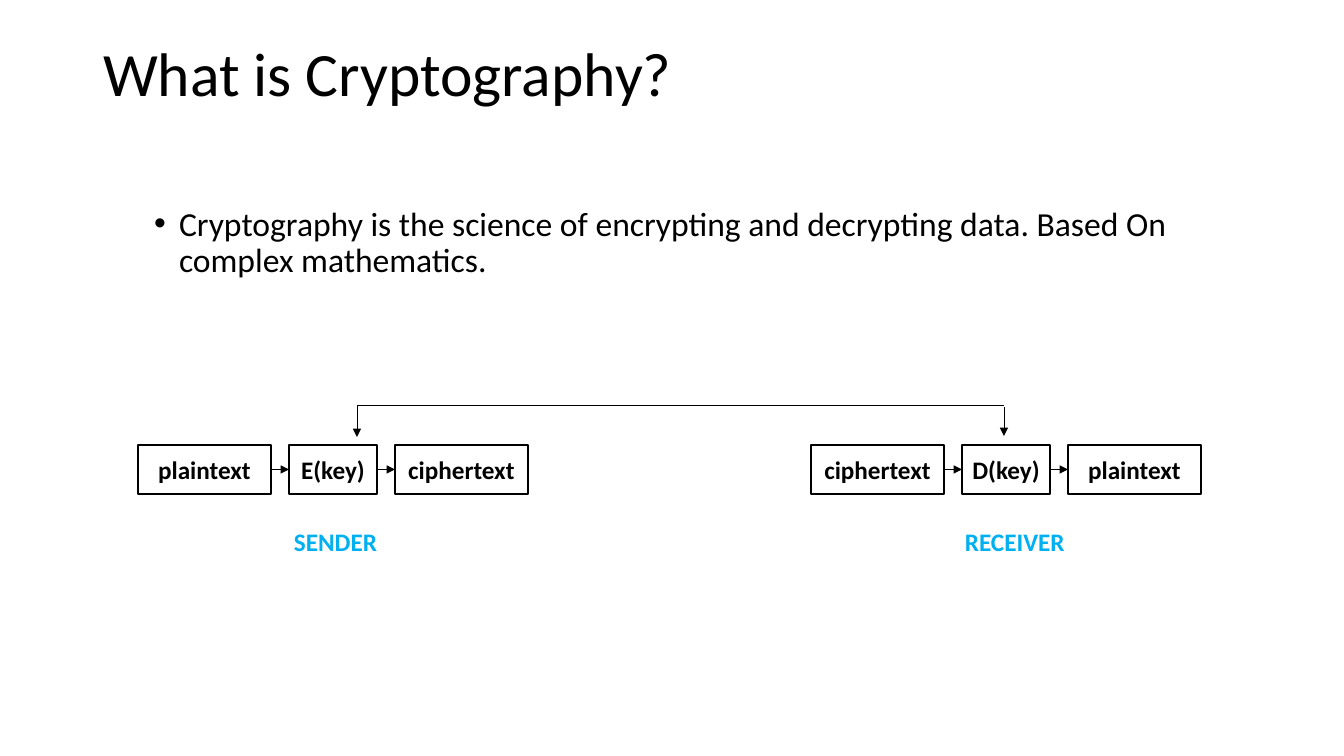
"""Build a slide that explains cryptography with a sender and receiver diagram."""
from lxml import etree
from pptx import Presentation
from pptx.dml.color import RGBColor
from pptx.enum.shapes import MSO_CONNECTOR, MSO_SHAPE
from pptx.enum.text import MSO_ANCHOR, MSO_AUTO_SIZE, PP_ALIGN
from pptx.oxml.ns import qn
from pptx.util import Pt

PX = 914400 / 100.8
BLACK = RGBColor(0x00, 0x00, 0x00)
WHITE = RGBColor(0xFF, 0xFF, 0xFF)
SKY = RGBColor(0x00, 0xB0, 0xF0)
STRAIGHT, ELBOW = MSO_CONNECTOR.STRAIGHT, MSO_CONNECTOR.ELBOW
RECTANGLE = MSO_SHAPE.RECTANGLE
TOP, MIDDLE = MSO_ANCHOR.TOP, MSO_ANCHOR.MIDDLE
LEFT, CENTER = PP_ALIGN.LEFT, PP_ALIGN.CENTER
NO_AUTOFIT = MSO_AUTO_SIZE.NONE
RIGHT_SIDE, LEFT_SIDE = 3, 1


def write(shape, text, size, color=BLACK, bold=False, align=LEFT, anchor=TOP, wrap=True):
    frame = shape.text_frame
    frame.auto_size = NO_AUTOFIT
    frame.word_wrap = wrap
    frame.vertical_anchor = anchor
    paragraph = frame.paragraphs[0]
    paragraph.text = text
    paragraph.alignment = align
    paragraph.font.name = "Calibri"
    paragraph.font.size = Pt(size)
    paragraph.font.bold = bold
    paragraph.font.color.rgb = color
    return paragraph


def add_arrow(kind, *ends):
    arrow = slide.shapes.add_connector(kind, *[round(end * PX) for end in ends])
    arrow.line.color.rgb = BLACK
    arrow.line.width = Pt(0.5)
    etree.SubElement(arrow.line._get_or_add_ln(), qn("a:tailEnd"), type="triangle")
    etree.SubElement(arrow._element.spPr, qn("a:effectLst"))
    return arrow


prs = Presentation()
prs.slide_width, prs.slide_height = round(1344 * PX), round(756 * PX)
slide = prs.slides.add_slide(prs.slide_layouts[1])

title, body = slide.placeholders
for placeholder, top, height in ((title, 40, 146), (body, 202, 480)):
    placeholder.left, placeholder.top = round(93 * PX), round(top * PX)
    placeholder.width, placeholder.height = round(1159 * PX), round(height * PX)

heading = write(title, "What is Cryptography?", 44)
heading.line_spacing = 0.9
title.text_frame.margin_top = round(3 * PX)

definition = body.text_frame.paragraphs[0]
definition.level = 1
bullet_format = definition._p.get_or_add_pPr()
bullet_format.set("marL", str(round(76 * PX)))
bullet_format.set("indent", str(round(-25 * PX)))
etree.SubElement(bullet_format, qn("a:buFont"), typeface="Arial")
etree.SubElement(bullet_format, qn("a:buChar"), char="•")
write(body, "Cryptography is the science of encrypting and decrypting data. "
      "Based On complex mathematics.", 24)
definition.line_spacing = 0.9
definition.space_before = Pt(0)

BOX_TOP, BOX_HEIGHT, GAP = 445, 49, 18
WIDTHS = (133, 88, 133)
parties = (
    ("SENDER", 284, 104, 138, ("plaintext", "E(key)", "ciphertext")),
    ("RECEIVER", 955, 121, 811, ("ciphertext", "D(key)", "plaintext")),
)
for party, label_left, label_width, left, steps in parties:
    label = slide.shapes.add_textbox(
        *[round(n * PX) for n in (label_left, 521, label_width, 40)])
    write(label, party, 18, SKY, bold=True, wrap=False)

    previous = None
    for step, width in zip(steps, WIDTHS):
        box = slide.shapes.add_shape(
            RECTANGLE, *[round(n * PX) for n in (left, BOX_TOP, width, BOX_HEIGHT)])
        box.shadow.inherit = False
        box.fill.solid()
        box.fill.fore_color.rgb = WHITE
        box.line.color.rgb = BLACK
        box.line.width = Pt(1)
        write(box, step, 18, bold=True, align=CENTER, anchor=MIDDLE, wrap=False)
        if previous is not None:
            middle = BOX_TOP + BOX_HEIGHT / 2
            flow = add_arrow(STRAIGHT, left - GAP, middle, left, middle)
            flow.begin_connect(previous, RIGHT_SIDE)
            flow.end_connect(box, LEFT_SIDE)
        previous = box
        left += width + GAP

add_arrow(STRAIGHT, 1004, 407, 1004, 436)
shared_key = add_arrow(ELBOW, 1004, 405, 357, 437)
shared_key._element.spPr.find(qn("a:prstGeom")).set("prst", "bentConnector2")

prs.save("out.pptx")
